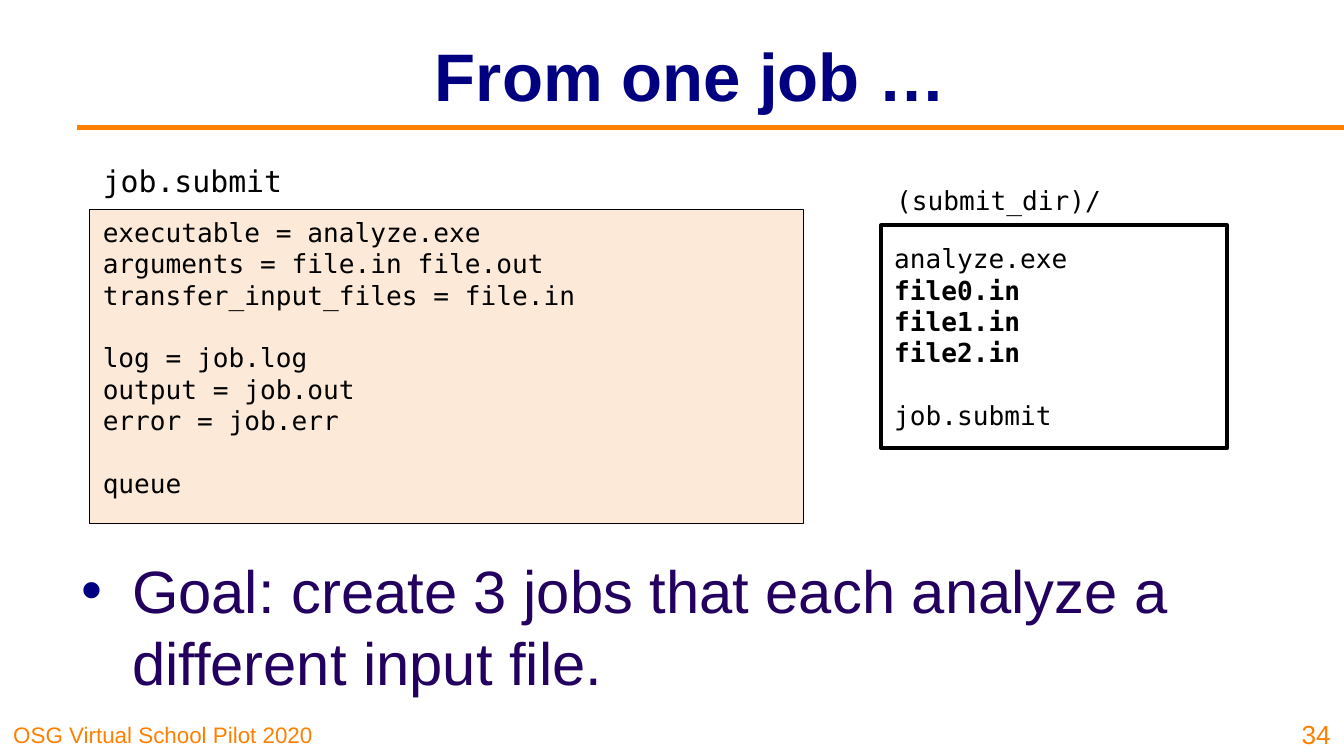
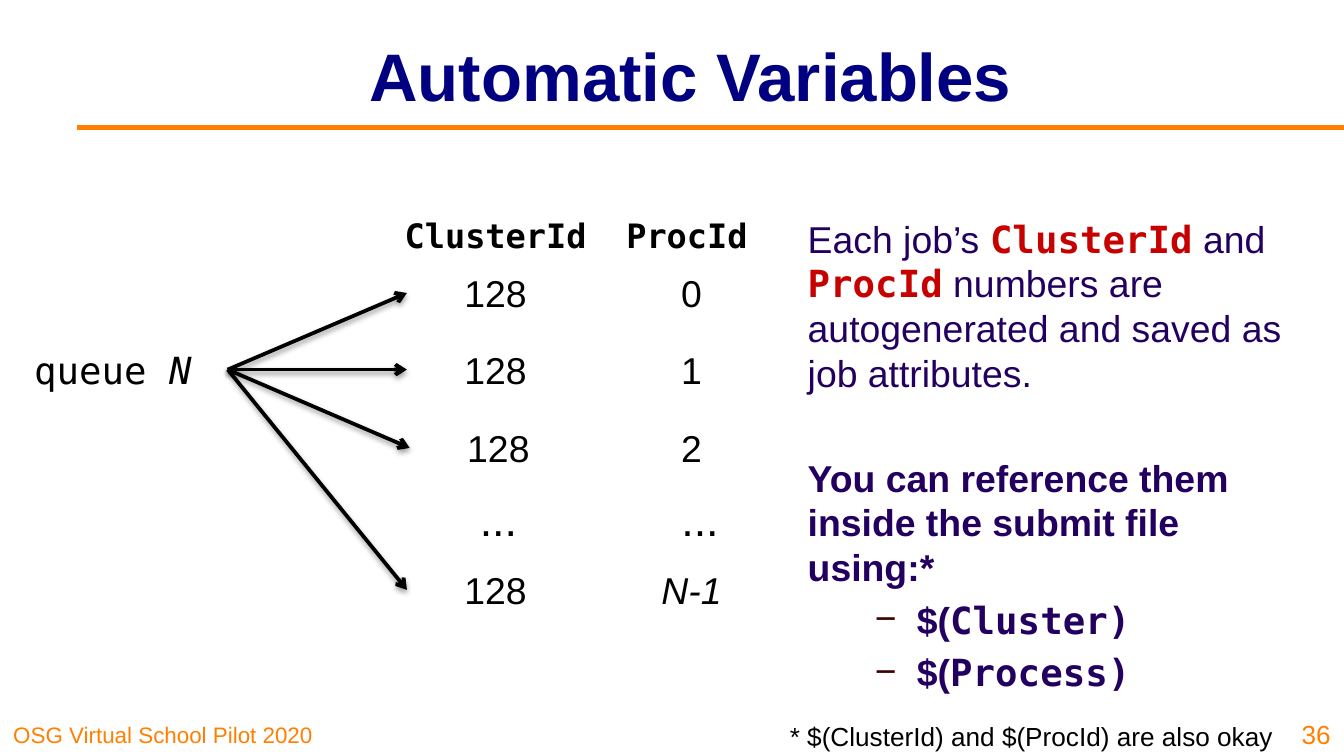
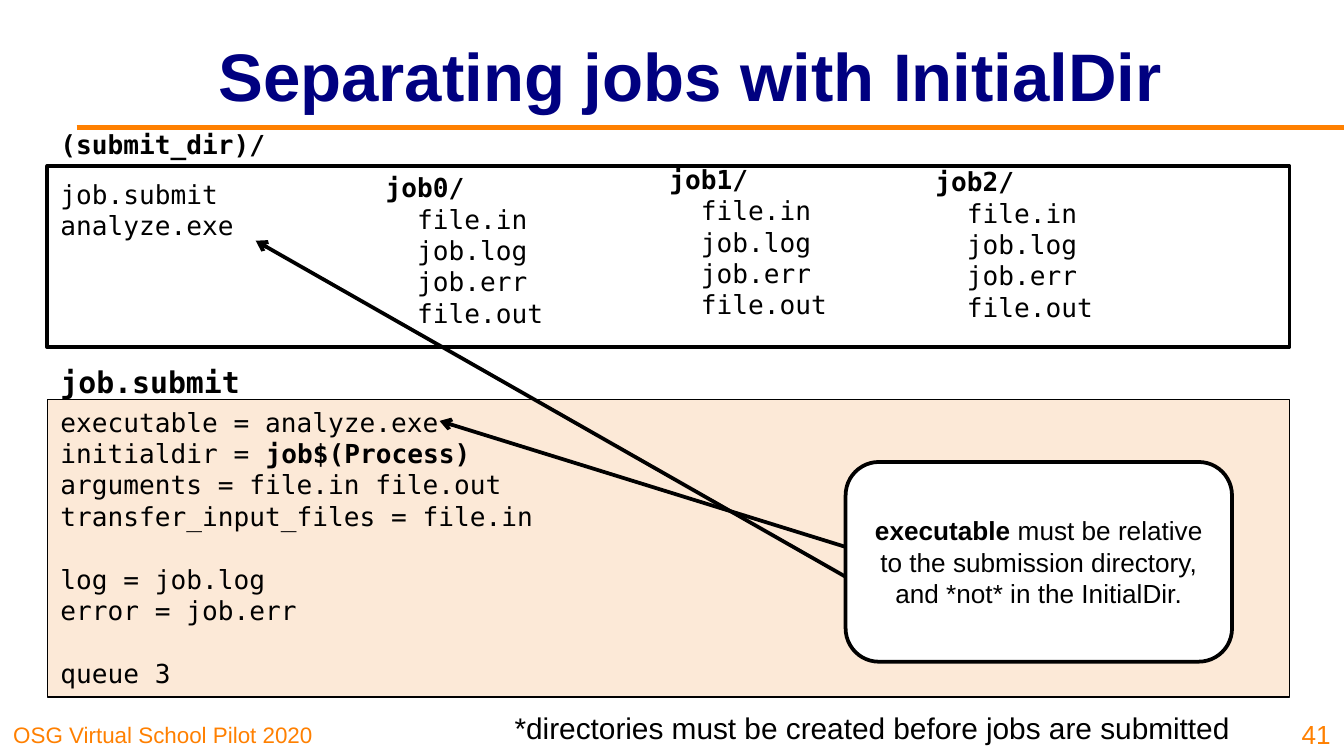
from dataclasses import dataclass

from lxml import etree
from pptx import Presentation
from pptx.dml.color import RGBColor
from pptx.enum import shapes, text
from pptx.oxml import ns
from pptx.util import Pt

# Shared style
NAVY, INDIGO, ORANGE, RED = "000080", "23005F", "FF8000", "C70000"
MAROON, PEACH, BLACK, WHITE = "3C0000", "FCE9D7", "000000", "FFFFFF"
SANS, MONO = "Arial", "DejaVu Sans Mono"
LEFT, CENTER, RIGHT = text.PP_ALIGN.LEFT, text.PP_ALIGN.CENTER, text.PP_ALIGN.RIGHT
TOP, MIDDLE, BOTTOM = (text.MSO_ANCHOR.TOP, text.MSO_ANCHOR.MIDDLE,
                       text.MSO_ANCHOR.BOTTOM)
CODE_GAP = 16.8  # height of one empty 14 pt line


def color(value):
    return RGBColor.from_string(value)


def add_xml(parent, tag, **attributes):
    return etree.SubElement(parent, ns.qn(tag), attributes)


@dataclass
class Font:
    size: float
    name: str = SANS
    color: str = BLACK
    bold: bool = False
    italic: bool = False

    def apply(self, font):
        font.size, font.name = Pt(self.size), self.name
        font.bold, font.italic = self.bold, self.italic
        font.color.rgb = color(self.color)


@dataclass
class Line:
    """A paragraph: a string or a list of strings and (string, Font) pairs."""
    runs: object
    font: Font = None
    gap: float = 0
    margin: float = 0
    hanging: float = 0
    bullet: str = ""
    bullet_color: str = BLACK
    level: int = 0


CODE = Font(14, MONO)
CODE_BOLD = Font(14, MONO, bold=True)
BODY = Font(20, color=INDIGO)
BODY_BOLD = Font(20, color=INDIGO, bold=True)


class Deck:
    def __init__(self):
        self.presentation = Presentation()
        self.presentation.slide_width = Pt(720)
        self.presentation.slide_height = Pt(405)
        self.slide = None

    def add_slide(self, title, number, layout):
        self.slide = self.presentation.slides.add_slide(
            self.presentation.slide_layouts[layout])
        self.text_box((0, 382, 179, 22.5), ["OSG Virtual School Pilot 2020"],
                      Font(12, color=ORANGE), anchor=BOTTOM)
        self.line((41, 68.3), (720, 68.3), ORANGE, 3)
        self.placeholder(0, (96.5, 6.5, 547, 67.5), [title],
                         Font(36, color=NAVY, bold=True), CENTER, MIDDLE)
        self.text_box((687, 378, 33, 27), [number], Font(14, color=ORANGE),
                      RIGHT, BOTTOM)

    def fill_text(self, shape, lines, font, align=LEFT, anchor=TOP):
        frame = shape.text_frame
        frame.word_wrap = True
        frame.auto_size = text.MSO_AUTO_SIZE.NONE
        frame.vertical_anchor = anchor
        for index, line in enumerate(lines):
            if not isinstance(line, Line):
                line = Line(line)
            paragraph = frame.paragraphs[0] if index == 0 else frame.add_paragraph()
            paragraph.alignment = align
            paragraph.level = line.level
            paragraph.space_before = Pt(line.gap)
            properties = paragraph._p.get_or_add_pPr()
            properties.set("marL", str(Pt(line.margin)))
            properties.set("indent", str(Pt(-line.hanging)))
            if line.bullet:
                bullet_color = add_xml(properties, "a:buClr")
                add_xml(bullet_color, "a:srgbClr", val=line.bullet_color)
                add_xml(properties, "a:buChar", char=line.bullet)
            else:
                add_xml(properties, "a:buNone")
            (line.font or font).apply(paragraph.font)
            for part in [line.runs] if isinstance(line.runs, str) else line.runs:
                run = paragraph.add_run()
                if isinstance(part, str):
                    run.text = part
                else:
                    run.text = part[0]
                    part[1].apply(run.font)

    def placeholder(self, index, box, lines, font, align=LEFT, anchor=TOP):
        shape = self.slide.placeholders[index]
        shape.left, shape.top, shape.width, shape.height = map(Pt, box)
        self.fill_text(shape, lines, font, align, anchor)

    def text_box(self, box, lines, font, align=LEFT, anchor=TOP):
        shape = self.slide.shapes.add_textbox(*map(Pt, box))
        self.fill_text(shape, lines, font, align, anchor)

    def panel(self, box, lines, font=CODE, fill=WHITE, border=2, align=LEFT,
              anchor=MIDDLE, kind=shapes.MSO_SHAPE.RECTANGLE, inset=3.6):
        shape = self.slide.shapes.add_shape(kind, *map(Pt, box))
        shape.shadow.inherit = False
        shape.fill.solid()
        shape.fill.fore_color.rgb = color(fill)
        shape.line.color.rgb = color(BLACK)
        shape.line.width = Pt(border)
        shape.text_frame.margin_top = Pt(inset)
        self.fill_text(shape, lines, font, align, anchor)

    def line(self, start, end, line_color=BLACK, width=2, arrow=False, shadow=False):
        connector = self.slide.shapes.add_connector(
            shapes.MSO_CONNECTOR.STRAIGHT, *map(Pt, start + end))
        connector.line.color.rgb = color(line_color)
        connector.line.width = Pt(width)
        properties = connector._element.spPr
        if arrow:
            add_xml(properties.find(ns.qn("a:ln")), "a:tailEnd", type="arrow")
        effects = add_xml(properties, "a:effectLst")
        if shadow:
            outer = add_xml(effects, "a:outerShdw", blurRad=str(Pt(3.1)),
                            dist=str(Pt(1.6)), dir="5400000", rotWithShape="0")
            shade = add_xml(outer, "a:srgbClr", val=BLACK)
            add_xml(shade, "a:alpha", val="38000")


def one_job(deck):
    deck.add_slide("From one job …", "34", layout=1)
    deck.placeholder(1, (36.5, 293, 648, 87), [
        Line("Goal: create 3 jobs that each analyze a different input file.",
             margin=27, hanging=27, bullet="•", bullet_color=NAVY),
    ], Font(32, color=INDIGO))

    # Submit file
    deck.panel((48, 112.3, 382.5, 168), [
        "executable = analyze.exe",
        "arguments = file.in file.out",
        "transfer_input_files = file.in",
        Line("log = job.log", gap=CODE_GAP),
        "output = job.out",
        "error = job.err",
        Line("queue", gap=CODE_GAP),
    ], fill=PEACH, border=0.75, anchor=TOP)
    deck.text_box((48, 83.5, 112, 22.5), ["job.submit"], Font(16, MONO))

    # Submit directory
    inputs = [Line(f"file{job}.in", CODE_BOLD) for job in range(3)]
    deck.panel((472, 120.7, 185.5, 119.5),
               ["analyze.exe", *inputs, Line("job.submit", gap=CODE_GAP)])
    deck.text_box((473, 95, 156, 24), ["(submit_dir)/"], CODE)


def automatic_variables(deck):
    deck.add_slide("Automatic Variables", "36", layout=1)

    # Explanation
    keyword = Font(20, MONO, RED, bold=True)
    code = Font(20, MONO, INDIGO, bold=True)
    references = [
        Line(["$(", (name + ")", code)], BODY_BOLD, gap=4, margin=58.5,
             hanging=22.5, bullet="−", bullet_color=MAROON, level=1)
        for name in ("Cluster", "Process")]
    deck.placeholder(1, (425.5, 112, 279.5, 266), [
        ["Each job’s ", ("ClusterId", keyword), " and ", ("ProcId", keyword),
         " numbers are autogenerated and saved as job attributes."],
        Line("You can reference them inside the submit file using:*",
             BODY_BOLD, gap=32),
        *references,
    ], BODY)

    # Queue statement and table of numbers
    def cell(center, top, content, font, width=118):
        deck.text_box((center - width / 2, top, width, 63), [content], font,
                      CENTER, MIDDLE)

    number, dots, heading = Font(20), Font(24), Font(18, MONO, bold=True)
    cell(60.5, 166.5, ["queue ", ("N", Font(20, MONO, italic=True))],
         Font(20, MONO), 122)
    cell(265.5, 94.5, "ClusterId", heading)
    cell(368, 94.5, "ProcId", heading)
    for cluster_center, proc_center, top, cluster, proc, font, proc_font in (
            (265.5, 370.5, 125.5, "128", "0", number, number),
            (265.5, 370.5, 166.5, "128", "1", number, number),
            (267, 370.5, 208, "128", "2", number, number),
            (267, 375, 246.5, "...", "...", dots, dots),
            (265.5, 370.5, 284.5, "128", "N-1", number, Font(20, italic=True))):
        cell(cluster_center, top, cluster, font)
        cell(proc_center, top, proc, proc_font)

    # Arrows from the queue statement to each job
    for end in ((218, 157), (218, 198), (219.5, 240), (218, 316)):
        deck.line((122, 198), end, arrow=True, shadow=True)

    deck.text_box((416, 382.5, 279, 24),
                  ["* $(ClusterId) and $(ProcId) are also okay"], Font(14))


def initial_directory(deck):
    deck.add_slide("Separating jobs with InitialDir", "41", layout=5)

    # Submit file
    deck.panel((25.3, 214, 665.5, 159.5), [
        "executable = analyze.exe",
        ["initialdir = ", ("job$(Process)", CODE_BOLD)],
        "arguments = file.in file.out",
        "transfer_input_files = file.in",
        Line("log = job.log", gap=CODE_GAP),
        "error = job.err",
        Line("queue 3", gap=CODE_GAP),
    ], fill=PEACH, border=0.75, anchor=TOP)

    # Submit directory with one folder per job
    deck.panel((25.3, 89, 665.5, 97), ["job.submit", "analyze.exe"],
               anchor=TOP, inset=6.6)
    files = [Line(name, margin=16.9)
             for name in ("file.in", "job.log", "job.err", "file.out")]
    for job, (left, top) in enumerate(((199.5, 84.5), (351.5, 80), (494, 81.3))):
        deck.text_box((left, top, 140, 99), [Line(f"job{job}/", CODE_BOLD), *files],
                      CODE, anchor=MIDDLE)
    deck.text_box((25.3, 191.5, 112, 26.5), ["job.submit"],
                  Font(16, MONO, bold=True))
    deck.text_box((25.3, 65, 125, 24), ["(submit_dir)/"], CODE_BOLD)

    # Callout
    deck.panel((453, 247.5, 207, 107), [
        [("executable", Font(14, bold=True)),
         " must be relative to the submission directory, "
         "and *not* in the InitialDir."],
    ], Font(14), align=CENTER, kind=shapes.MSO_SHAPE.ROUNDED_RECTANGLE)
    deck.line((453, 293), (235.5, 225.5), arrow=True)
    deck.line((453, 309), (137, 129), arrow=True)

    deck.text_box((174, 376.5, 492, 26.5),
                  ["*directories must be created before jobs are submitted"],
                  Font(16), RIGHT)


def main():
    deck = Deck()
    one_job(deck)
    automatic_variables(deck)
    initial_directory(deck)
    deck.presentation.save("out.pptx")


if __name__ == "__main__":
    main()
